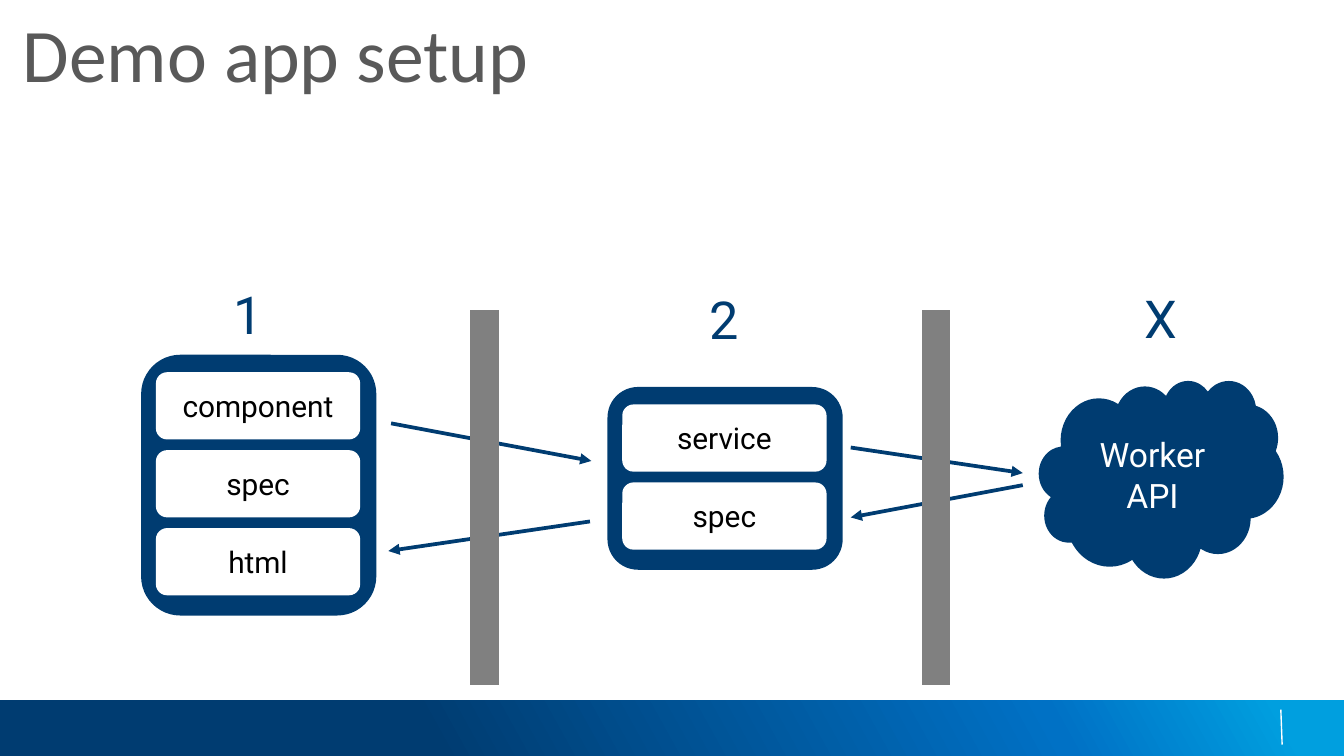
from copy import deepcopy

from lxml import etree
from pptx import Presentation
from pptx.dml.color import RGBColor
from pptx.enum.shapes import MSO_CONNECTOR as Connector, MSO_SHAPE as Shape
from pptx.enum.text import MSO_ANCHOR as Anchor, MSO_AUTO_SIZE as AutoSize, PP_ALIGN as Align
from pptx.oxml.ns import qn
from pptx.util import Inches, Pt

NAVY = RGBColor(0x00, 0x3C, 0x71)
BLUE = RGBColor(0x00, 0x71, 0xC5)
CYAN = RGBColor(0x00, 0x9F, 0xDF)
WHITE = RGBColor(0xFF, 0xFF, 0xFF)
BLACK = RGBColor(0x00, 0x00, 0x00)
GRAY = RGBColor(0x80, 0x80, 0x80)
TITLE_GRAY = RGBColor(0x59, 0x59, 0x59)


def write(shape, text, size=16, color=BLACK, font="Roboto", align=Align.CENTER,
          anchor=Anchor.MIDDLE):
    frame = shape.text_frame
    frame.word_wrap = True
    frame.vertical_anchor = anchor
    paragraph = frame.paragraphs[0]
    paragraph.alignment = align
    run = paragraph.add_run()
    run.text = text
    run.font.size, run.font.name = Pt(size), font
    run.font.color.rgb = color


def add_block(shapes, kind, box, color=None):
    block = shapes.add_shape(kind, *map(Inches, box))
    block.shadow.inherit = False
    block.line.fill.background()
    if color is not None:
        block.fill.solid()
        block.fill.fore_color.rgb = color
    return block


def add_label(shapes, box, text, margin=None, **style):
    label = shapes.add_textbox(*map(Inches, box))
    write(label, text, anchor=Anchor.TOP, **style)
    frame = label.text_frame
    frame.auto_size = AutoSize.SHAPE_TO_FIT_TEXT
    if margin is not None:
        frame.margin_left = frame.margin_right = Inches(margin)
        frame.margin_top = frame.margin_bottom = Inches(margin)


def add_line(shapes, start, end, color, width, arrow=False):
    line = shapes.add_connector(Connector.STRAIGHT, *map(Inches, start + end))
    line.line.color.rgb = color
    line.line.width = Pt(width)
    if arrow:
        etree.SubElement(line.line._get_or_add_ln(), qn("a:tailEnd"), type="triangle")
    etree.SubElement(line._element.spPr, qn("a:effectLst"))


def add_footer(shapes, left, top, width, height):
    band = add_block(shapes, Shape.RECTANGLE, (left, top, width, height))
    band.fill.gradient()
    band.fill.gradient_angle = 29
    stop_list = band._element.spPr.find(qn("a:gradFill")).find(qn("a:gsLst"))
    stop_list.append(deepcopy(stop_list[0]))
    for stop, (position, color) in zip(band.fill.gradient_stops,
                                       [(0.32, NAVY), (0.78, BLUE), (0.95, CYAN)]):
        stop.position = position
        stop.color.rgb = color
    add_line(shapes, (left + 9.53, top + 0.07), (left + 9.54, top + 0.33), WHITE, 0.75)


def add_module(shapes, left, top, files):
    """A navy panel with one white row per file."""
    pitch = 0.58
    panel = shapes.add_group_shape().shapes
    add_block(panel, Shape.FLOWCHART_ALTERNATE_PROCESS,
              (left, top, 1.75, 0.2 + pitch * len(files)), NAVY)
    for index, name in enumerate(files):
        row = add_block(panel, Shape.FLOWCHART_ALTERNATE_PROCESS,
                        (left + 0.11, top + 0.13 + pitch * index, 1.52, 0.5), WHITE)
        write(row, name)


def add_worker(shapes, box):
    cloud = add_block(shapes, Shape.CLOUD, box, NAVY)
    write(cloud, "Worker API", size=18, color=WHITE)


def build():
    deck = Presentation()
    deck.slide_width = Inches(10)
    deck.slide_height = deck.slide_width * 9 // 16
    shapes = deck.slides.add_slide(deck.slide_layouts[6]).shapes

    # Footer and title
    add_footer(shapes, 0, 5.21, 10, 0.42)
    add_label(shapes, (0.07, 0, 9.33, 0.78), "Demo app setup", size=40.5,
              color=TITLE_GRAY, font="Calibri", align=Align.LEFT)

    # Modules and the worker
    add_module(shapes, 1.05, 2.64, ["component", "spec", "html"])
    add_module(shapes, 4.52, 2.88, ["service", "spec"])
    add_worker(shapes, (7.73, 2.83, 1.82, 1.47))

    # Requests to the right, replies to the left
    for start, end in [((2.91, 3.15), (4.4, 3.43)), ((6.33, 3.33), (7.61, 3.52)),
                       ((7.61, 3.61), (6.33, 3.85)), ((4.39, 3.88), (2.89, 4.1))]:
        add_line(shapes, start, end, NAVY, 2, arrow=True)

    # Walls between the stages
    for left in (3.5, 6.86):
        add_block(shapes, Shape.FLOWCHART_PROCESS, (left, 2.31, 0.21, 2.79), GRAY)

    # Stage numbers
    for stage, left, top in [("1", 1.55, 2.1), ("2", 5.09, 2.14), ("X", 8.34, 2.13)]:
        add_label(shapes, (left, top, 0.6, 0.47), stage, margin=0, size=28, color=NAVY)

    deck.save("out.pptx")


build()
